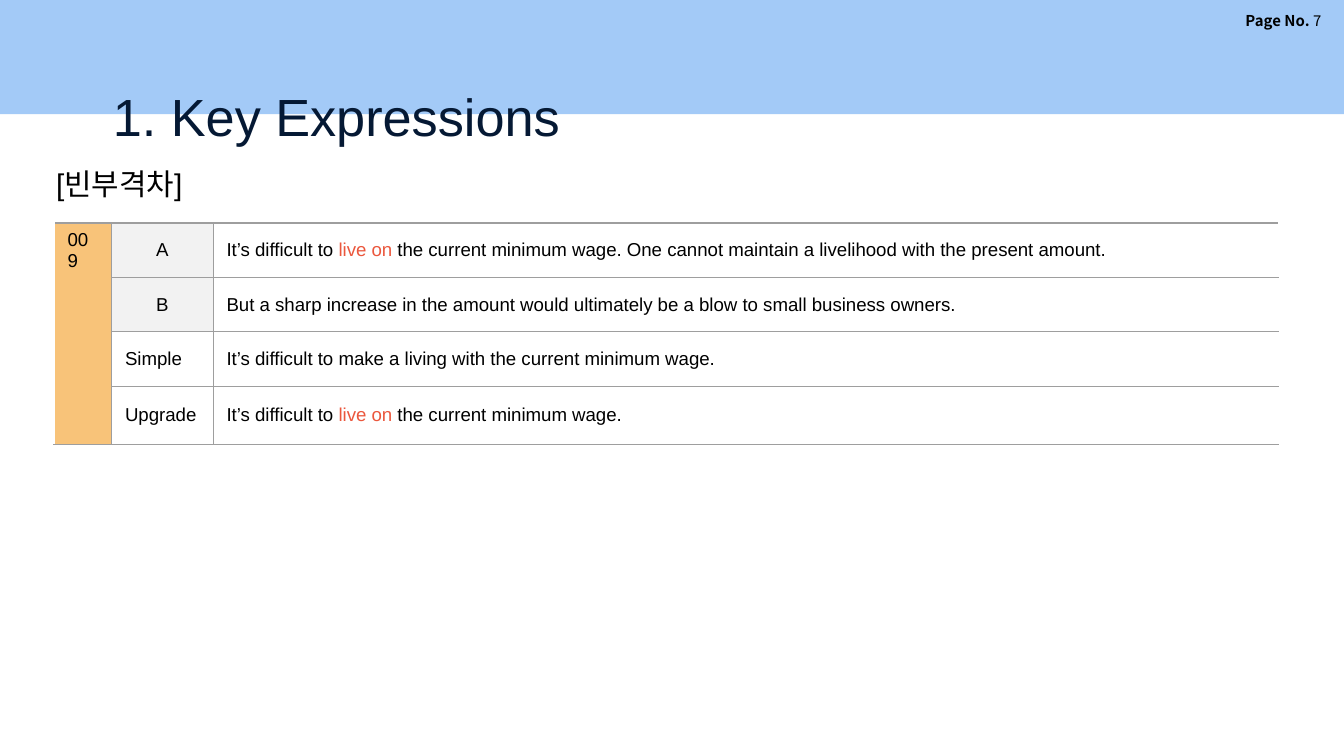
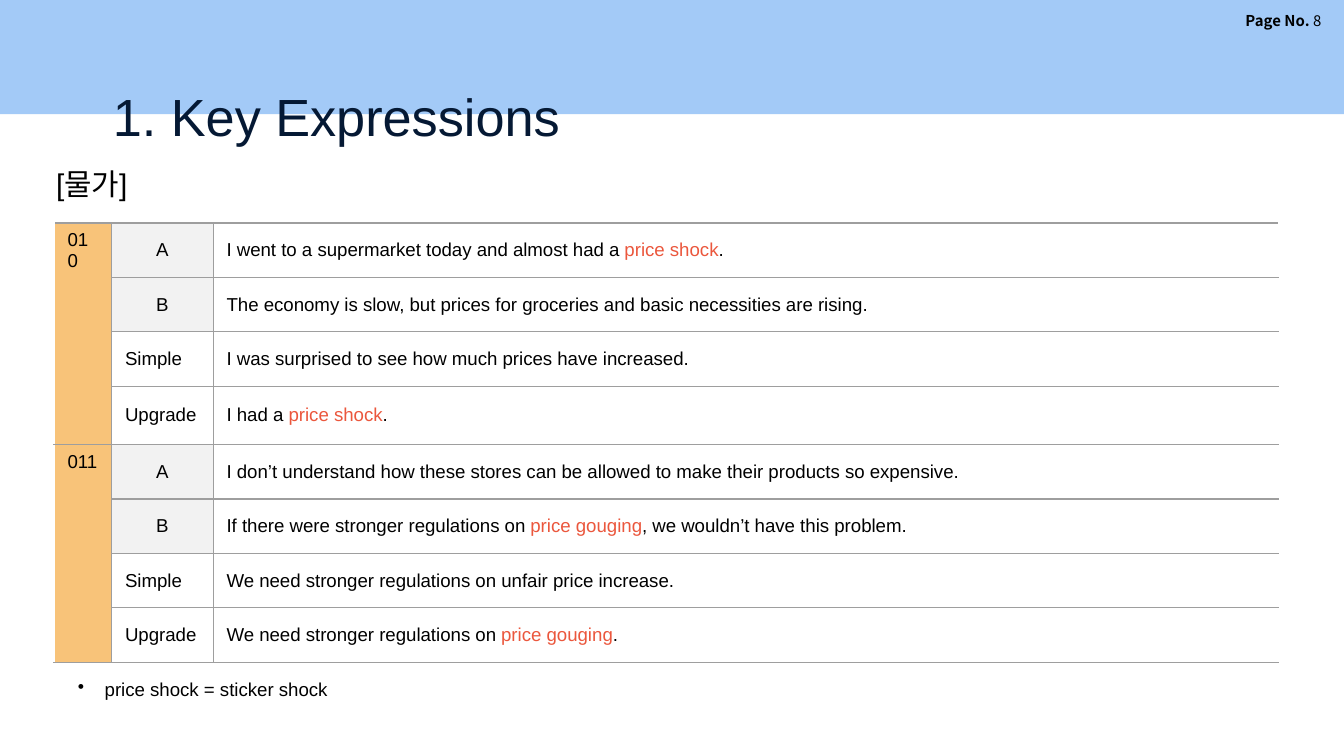
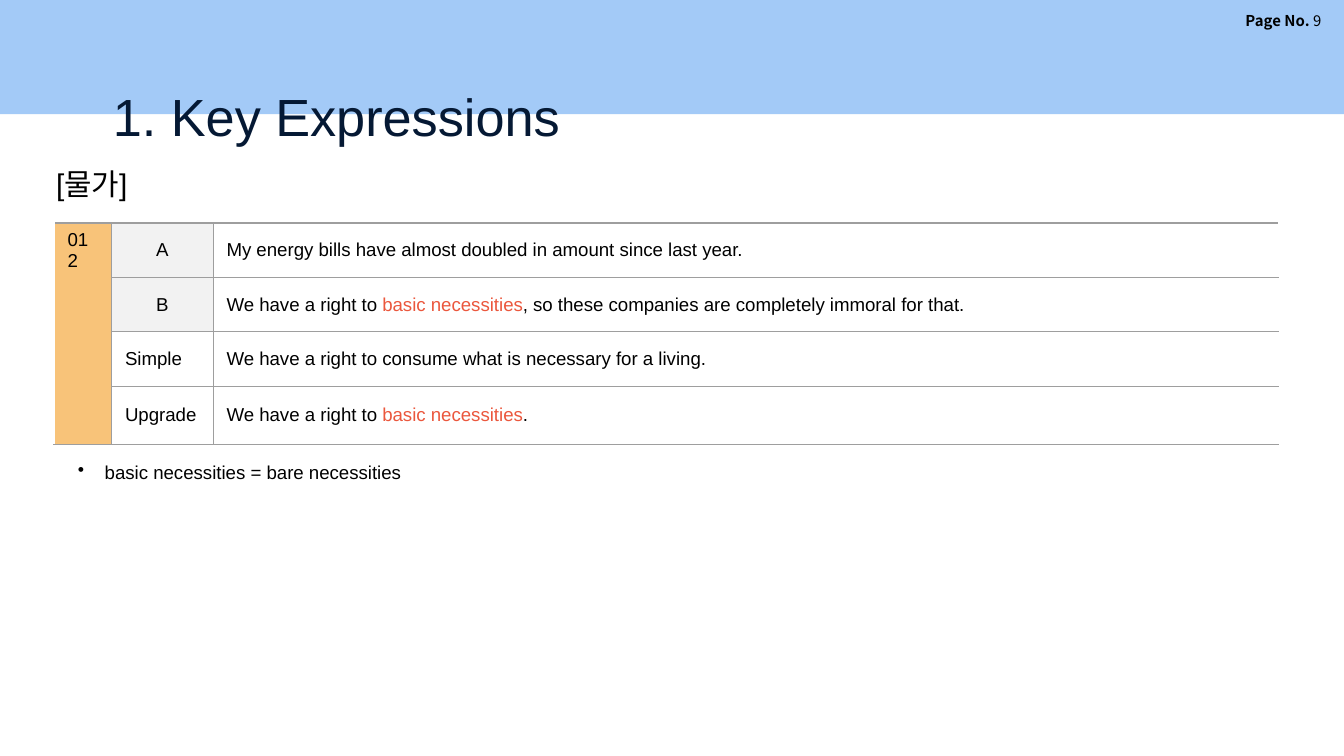
from lxml.etree import SubElement
from pptx import Presentation
from pptx.dml.color import RGBColor
from pptx.enum.shapes import MSO_SHAPE
from pptx.enum.text import MSO_ANCHOR, MSO_AUTO_SIZE, PP_ALIGN
from pptx.oxml.ns import qn
from pptx.util import Pt

BAND, NAVY, BLACK, WHITE = "A3CAF7", "051934", "000000", "FFFFFF"
ORANGE, LIGHT, RULE, ACCENT = "F8C379", "F2F2F2", "9E9E9E", "EB573D"
ROLES = ["A", "B", "Simple", "Upgrade"]
COLUMN_WIDTHS = [30.8, 54.4, 570.7]
ROW_HEIGHT = 29.16
TABLE_LEFT, TABLE_TOP = 29, 119.5

# Key phrases stand between asterisks.
pages = [
    (7, "[빈부격차]", {
        "009": [
            "It’s difficult to *live on *the current minimum wage. "
            "One cannot maintain a livelihood with the present amount.",
            "But a sharp increase in the amount would ultimately be a blow to small business owners.",
            "It’s difficult to make a living with the current minimum wage.",
            "It’s difficult to *live on* the current minimum wage.",
        ],
    }, None),
    (8, "[물가]", {
        "010": [
            "I went to a supermarket today and almost had a *price shock*.",
            "The economy is slow, but prices for groceries and basic necessities are rising.",
            "I was surprised to see how much prices have increased.",
            "I had a *price shock*.",
        ],
        "011": [
            "I don’t understand how these stores can be allowed to make their products so expensive.",
            "If there were stronger regulations on *price gouging*, we wouldn’t have this problem.",
            "We need stronger regulations on unfair price increase.",
            "We need stronger regulations on *price gouging*.",
        ],
    }, "price shock = sticker shock"),
    (9, "[물가]", {
        "012": [
            "My energy bills have almost doubled in amount since last year.",
            "We have a right to *basic necessities*, so these companies are completely immoral for that.",
            "We have a right to consume what is necessary for a living.",
            "We have a right to *basic necessities*.",
        ],
    }, "basic necessities = bare necessities"),
]


def style(font, size, color, name="Arial"):
    font.size, font.name = Pt(size), name
    font.color.rgb = RGBColor.from_string(color)


def add_text(slide, left, top, width, height):
    """Add a wrapping text box that grows with its text; return its paragraph."""
    frame = slide.shapes.add_textbox(Pt(left), Pt(top), Pt(width), Pt(height)).text_frame
    frame.word_wrap = True
    frame.auto_size = MSO_AUTO_SIZE.SHAPE_TO_FIT_TEXT
    return frame.paragraphs[0]


prs = Presentation()
prs.slide_width, prs.slide_height = Pt(720), Pt(405)

for number, topic, expressions, note in pages:
    slide = prs.slides.add_slide(prs.slide_layouts[5])

    # Band behind the title
    band = slide.shapes.add_shape(MSO_SHAPE.RECTANGLE, 0, 0, prs.slide_width, Pt(61.2))
    band.shadow.inherit = False
    band.fill.solid()
    band.fill.fore_color.rgb = RGBColor.from_string(BAND)
    band.line.fill.background()
    slide.shapes.element.insert(2, band.element)

    page_label = add_text(slide, 610.6, 2.9, 104.4, 16.6)
    page_label.alignment = PP_ALIGN.RIGHT
    page_label.add_run().text = "Page No. "
    page_label.add_run().text = str(number)
    for run, bold in zip(page_label.runs, (True, False)):
        style(run.font, 8, BLACK, "Noto Sans CJK KR")
        run.font.bold = bold

    title = slide.shapes.title
    title.left, title.top, title.width, title.height = Pt(53.3), Pt(35.3), Pt(556.6), Pt(45.4)
    title.text_frame.text = "1. Key Expressions"
    title.text_frame.auto_size = MSO_AUTO_SIZE.NONE
    title.text_frame.vertical_anchor = MSO_ANCHOR.TOP
    title.text_frame.margin_left = title.text_frame.margin_right = Pt(7.2)
    title.text_frame.margin_top, title.text_frame.margin_bottom = Pt(10), Pt(4)
    heading = title.text_frame.paragraphs[0]
    heading.alignment = PP_ALIGN.LEFT
    style(heading.font, 28, NAVY)

    # Expressions: four rows for each number
    row_count = len(expressions) * len(ROLES)
    table_height = row_count * ROW_HEIGHT
    table = slide.shapes.add_table(row_count, 3, Pt(TABLE_LEFT), Pt(TABLE_TOP),
                                   Pt(sum(COLUMN_WIDTHS)), Pt(table_height)).table
    table.first_row = table.horz_banding = False
    for column, width in zip(table.columns, COLUMN_WIDTHS):
        column.width = Pt(width)
    for row in table.rows:
        row.height = Pt(ROW_HEIGHT)

    for group, (code, sentences) in enumerate(expressions.items()):
        first = group * len(ROLES)
        table.cell(first, 0).merge(table.cell(first + len(ROLES) - 1, 0))
        for offset, (role, sentence) in enumerate(zip(ROLES, sentences)):
            speaker = role in ("A", "B")
            texts = [code if offset == 0 else "", role, sentence]
            fills = [ORANGE, LIGHT if speaker else None, None]
            for col, (text, fill) in enumerate(zip(texts, fills)):
                cell = table.cell(first + offset, col)
                cell.vertical_anchor = MSO_ANCHOR.MIDDLE if col else MSO_ANCHOR.TOP

                # Borders come before the fill in the cell properties
                properties = cell._tc.get_or_add_tcPr()
                for side in "LRTB":
                    outer = (side, col) in (("L", 0), ("R", 2))
                    border = SubElement(properties, qn(f"a:ln{side}"), w=str(Pt(1 if outer else 0.75)))
                    solid = SubElement(border, qn("a:solidFill"))
                    SubElement(solid, qn("a:srgbClr"), val=WHITE if outer else RULE)
                if fill:
                    cell.fill.solid()
                    cell.fill.fore_color.rgb = RGBColor.from_string(fill)
                else:
                    cell.fill.background()

                paragraph = cell.text_frame.paragraphs[0]
                paragraph.alignment = PP_ALIGN.CENTER if col == 1 and speaker else PP_ALIGN.LEFT
                style(paragraph.font, 10, BLACK)
                for part, phrase in enumerate(text.split("*")):
                    if phrase:
                        run = paragraph.add_run()
                        run.text = phrase
                        if part % 2:
                            run.font.color.rgb = RGBColor.from_string(ACCENT)

    topic_line = add_text(slide, 23, 85, 131, 26.6)
    topic_line.text = topic
    style(topic_line.font, 16, BLACK)

    if note:
        note_line = add_text(slide, 34.6, TABLE_TOP + table_height + 7, 613.4, 19.4)
        note_line.text = note
        indents = note_line._p.get_or_add_pPr()
        indents.set("marL", str(Pt(14.4)))
        indents.set("indent", str(-Pt(14.4)))
        SubElement(SubElement(indents, qn("a:buClr")), qn("a:srgbClr"), val=BLACK)
        SubElement(indents, qn("a:buChar"), char="•")
        style(note_line.font, 10, BLACK)

prs.save("out.pptx")
